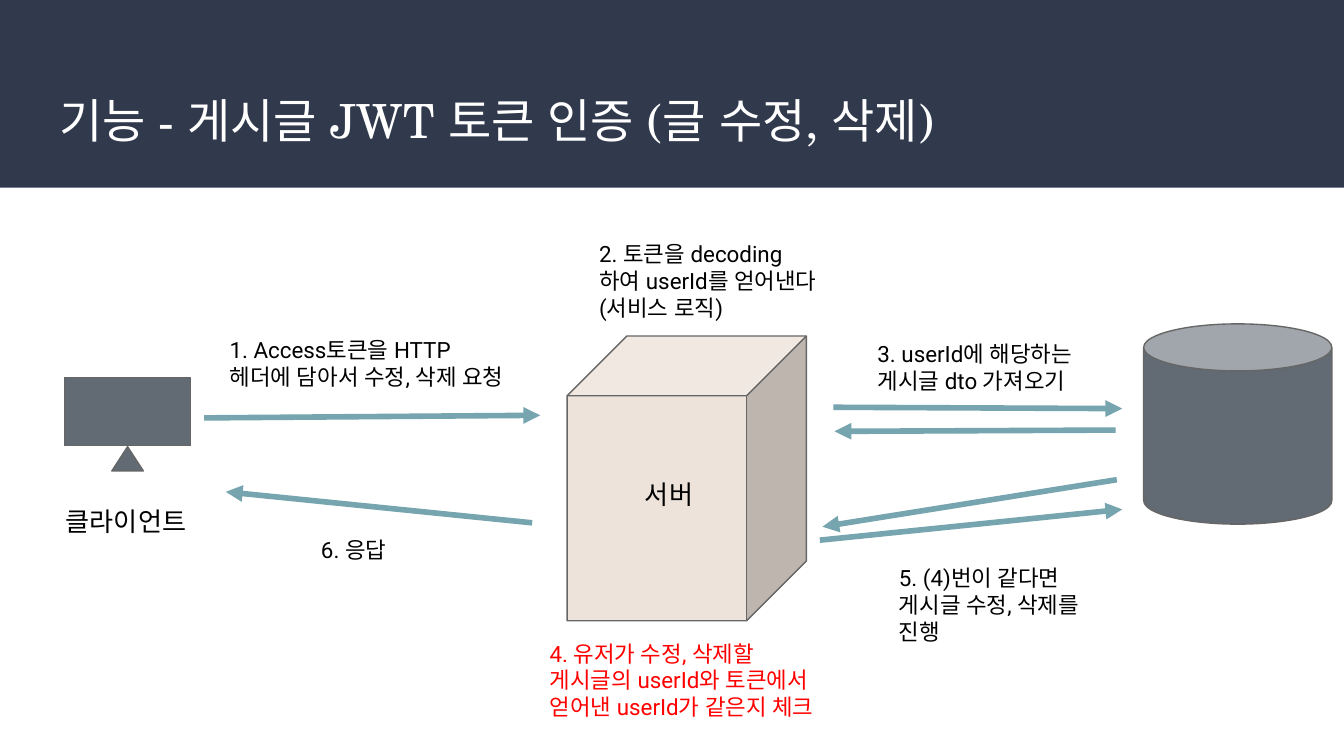
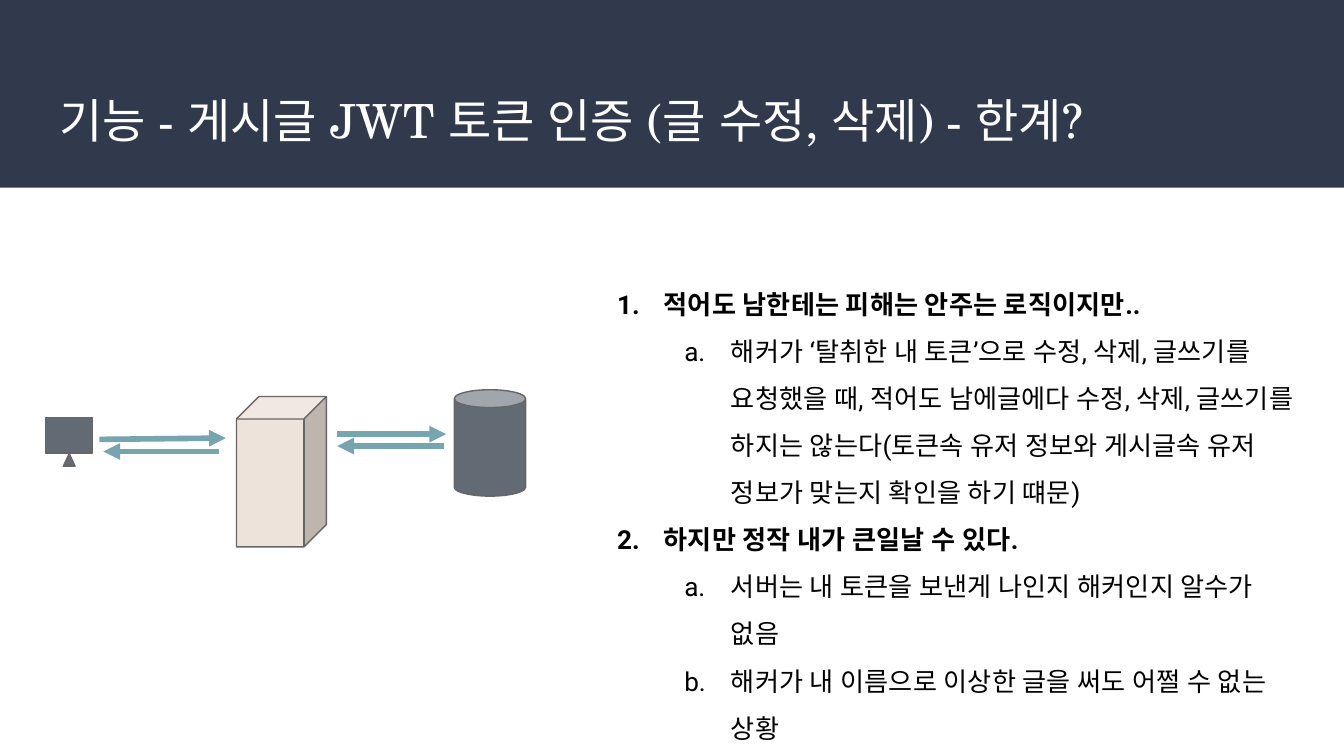
from collections import namedtuple
from dataclasses import dataclass

from lxml.etree import SubElement
from pptx import Presentation
from pptx.dml.color import RGBColor
from pptx.enum.shapes import MSO_CONNECTOR, MSO_SHAPE
from pptx.enum.text import MSO_ANCHOR, MSO_AUTO_SIZE, PP_ALIGN
from pptx.oxml.ns import qn
from pptx.util import Pt

Box = namedtuple("Box", "x y w h")


@dataclass(frozen=True)
class Theme:
    """Colours, fonts and sizes shared by the slides."""
    band: str = "31394D"
    white: str = "FFFFFF"
    black: str = "000000"
    alert: str = "FF0000"
    server: str = "EDE3DA"
    device: str = "626B73"
    outline: str = "666666"
    arrow: str = "76A5AF"
    title_font: str = "TeX Gyre Schola"
    body_font: str = "Roboto"
    title_size: float = 25.2
    label_size: float = 14
    note_size: float = 12
    outline_width: float = 0.75
    arrow_width: float = 3
    inset: float = 7.2


THEME = Theme()
WIDE, HIGH = 720, 405
BAND = Box(0, 0, WIDE, 100.5)
TITLE = Box(24.5, 39.6, 670, 49)
BODY = Box(0, 100, WIDE, 305)
SMALL_FLOW = Box(24.5, 208.8, 257, 84)
LIMITS = Box(312.5, 139, 390.2, 209.5)

HEADING = "기능 - 게시글 JWT 토큰 인증 (글 수정, 삭제)"

FULL_NODES = {
    "client": Box(34.5, 102.3, 67.7, 50),
    "server": Box(303.8, 80, 128.2, 152.6),
    "database": Box(612.7, 73.5, 100.8, 107.3),
}
FULL_ARROWS = [
    (109.4, 123.9, 289.4, 122.5),
    (446.4, 118.2, 601.2, 118.9),
    (597.6, 130.4, 447.1, 131.1),
    (439.2, 189.4, 601.2, 172.9),
    (598.3, 157, 440.6, 182.2),
    (285.1, 180.1, 121, 163.5),
]
SMALL_NODES = {
    "client": Box(0, 15, 25.2, 26),
    "server": Box(102.2, 3.6, 48.2, 80.6),
    "database": Box(218.9, 0, 38.2, 57),
}
SMALL_ARROWS = [
    (28.8, 26.6, 96.5, 25.9),
    (156.2, 23.8, 214.5, 23.8),
    (213.1, 30.2, 156.2, 30.2),
    (92.9, 33.1, 30.9, 33.1),
]
LABELS = [
    (Box(28.1, 163.5, 79.9, 31.7), "클라이언트"),
    (Box(338.4, 149.1, 43.9, 31.7), "서버"),
]
STEPS = [
    (Box(115.9, 72.8, 167, 43.9), THEME.black,
     ["1. Access토큰을 HTTP 헤더에 담아서 수정, 삭제 요청"]),
    (Box(313.9, 21.7, 132.5, 58.3), THEME.black,
     ["2. 토큰을 decoding하여 userId를 얻어낸다", "(서비스 로직)"]),
    (Box(463, 75, 132.5, 43.9), THEME.black,
     ["3. userId에 해당하는 게시글 dto 가져오기"]),
    (Box(287.3, 235.5, 162, 58.3), THEME.alert,
     ["4. 유저가 수정, 삭제할 게시글의 userId와 토큰에서 얻어낸 userId가 같은지 체크"]),
    (Box(474.5, 195.2, 132.5, 43.9), THEME.black,
     ["5. (4)번이 같다면 게시글 수정, 삭제를 진행"]),
    (Box(164.9, 180.1, 59.8, 28.8), THEME.black, ["6. 응답"]),
]
POINTS = [
    (0, "적어도 남한테는 피해는 안주는 로직이지만.."),
    (1, "해커가 ‘탈취한 내 토큰’으로 수정, 삭제, 글쓰기를 요청했을 때, "
        "적어도 남에글에다 수정, 삭제, 글쓰기를 하지는 않는다"
        "(토큰속 유저 정보와 게시글속 유저 정보가 맞는지 확인을 하기 떄문)"),
    (0, "하지만 정작 내가 큰일날 수 있다."),
    (1, "서버는 내 토큰을 보낸게 나인지 해커인지 알수가 없음"),
    (1, "해커가 내 이름으로 이상한 글을 써도 어쩔 수 없는 상황"),
]


def assign(obj, values):
    """Set each named attribute of an object."""
    for name, value in values.items():
        setattr(obj, name, value)


def points(*values):
    """Convert numbers to lengths in points."""
    return [Pt(v) for v in values]


def inside(box, part):
    """Shift a part's box by the corner of its region."""
    return Box(box.x + part.x, box.y + part.y, part.w, part.h)


def add_run(p, text, size, color, font=THEME.body_font, bold=False):
    """Add a formatted run to a paragraph."""
    r = p.add_run()
    r.text = text
    assign(r.font, {"size": Pt(size), "name": font, "bold": bold})
    r.font.color.rgb = RGBColor.from_string(color)
    SubElement(r.font._element, qn("a:ea"), typeface=font)


def format_frame(tf, anchor, auto_size):
    """Give a text frame its insets, wrapping and anchor."""
    sides = ("left", "top", "right", "bottom")
    assign(tf, {f"margin_{side}": Pt(THEME.inset) for side in sides})
    assign(tf, {"word_wrap": True, "vertical_anchor": anchor,
                "auto_size": auto_size})


def add_text(shapes, box):
    """Add a wrapping text box and return its frame."""
    tf = shapes.add_textbox(*points(*box)).text_frame
    format_frame(tf, MSO_ANCHOR.TOP, MSO_AUTO_SIZE.SHAPE_TO_FIT_TEXT)
    return tf


def add_lines(shapes, box, lines, size, color):
    """Write a text box with one paragraph for each line."""
    tf = add_text(shapes, box)
    for i, line in enumerate(lines):
        p = tf.add_paragraph() if i else tf.paragraphs[0]
        add_run(p, line, size, color)


def add_solid(shapes, kind, box, fill, outlined=True):
    """Add a filled preset shape."""
    sp = shapes.add_shape(kind, *points(*box))
    sp.shadow.inherit = False
    sp.fill.solid()
    sp.fill.fore_color.rgb = RGBColor.from_string(fill)
    if outlined:
        sp.line.color.rgb = RGBColor.from_string(THEME.outline)
        sp.line.width = Pt(THEME.outline_width)
    else:
        sp.line.fill.background()
    return sp


def add_arrow(shapes, box, ends):
    """Draw an arrow between two points of a region."""
    x1, y1, x2, y2 = ends
    c = shapes.add_connector(MSO_CONNECTOR.STRAIGHT, *points(
        box.x + x1, box.y + y1, box.x + x2, box.y + y2))
    c.line.color.rgb = RGBColor.from_string(THEME.arrow)
    c.line.width = Pt(THEME.arrow_width)
    SubElement(c.line._get_or_add_ln(), qn("a:tailEnd"), type="triangle")
    SubElement(c.element.spPr, qn("a:effectLst"))


def add_client(shapes, box):
    """Draw a monitor on its stand as one group."""
    x, y, w, h = box
    parts = shapes.add_group_shape().shapes
    add_solid(parts, MSO_SHAPE.FLOWCHART_PROCESS,
              Box(x, y, w, h * 0.73), THEME.device)
    add_solid(parts, MSO_SHAPE.ISOSCELES_TRIANGLE,
              Box(x + w * 0.375, y + h * 0.74, w * 0.25, h * 0.26),
              THEME.device)


def add_flow(shapes, box, nodes, arrows):
    """Draw client, server and database with the arrows between them."""
    add_solid(shapes, MSO_SHAPE.CUBE, inside(box, nodes["server"]),
              THEME.server)
    add_client(shapes, inside(box, nodes["client"]))
    add_solid(shapes, MSO_SHAPE.CAN, inside(box, nodes["database"]),
              THEME.device)
    for ends in arrows:
        add_arrow(shapes, box, ends)


def add_steps(shapes, box):
    """Write the node names and the numbered steps."""
    for part, text in LABELS:
        add_lines(shapes, inside(box, part), [text],
                  THEME.label_size, THEME.black)
    for part, color, lines in STEPS:
        add_lines(shapes, inside(box, part), lines, THEME.note_size, color)


def add_outline(shapes, box):
    """Write the two-level numbered list."""
    tf = add_text(shapes, box)
    for i, (level, text) in enumerate(POINTS):
        p = tf.add_paragraph() if i else tf.paragraphs[0]
        assign(p, {"level": level, "line_spacing": 1.5})
        pPr = p._p.get_or_add_pPr()
        pPr.set("marL", str(Pt(36 * (level + 1))))
        pPr.set("indent", str(Pt(-25)))
        color = SubElement(pPr, qn("a:buClr"))
        SubElement(color, qn("a:srgbClr"), val=THEME.black)
        SubElement(pPr, qn("a:buAutoNum"),
                   type=("arabicPeriod", "alphaLcPeriod")[level])
        add_run(p, text, THEME.label_size, THEME.black, bold=level == 0)


def add_titled_slide(prs, text):
    """Add a slide with the title on its dark band."""
    s = prs.slides.add_slide(prs.slide_layouts[5])
    title = s.shapes.title
    band = add_solid(s.shapes, MSO_SHAPE.RECTANGLE, BAND, THEME.band, False)
    title.element.addprevious(band.element)
    assign(title, dict(zip(("left", "top", "width", "height"),
                           points(*TITLE))))
    format_frame(title.text_frame, MSO_ANCHOR.MIDDLE, MSO_AUTO_SIZE.NONE)
    p = title.text_frame.paragraphs[0]
    p.alignment = PP_ALIGN.LEFT
    add_run(p, text, THEME.title_size, THEME.white, THEME.title_font)
    return s


def build_process(prs):
    """Build the slide that explains token checking step by step."""
    s = add_titled_slide(prs, HEADING)
    add_flow(s.shapes, BODY, FULL_NODES, FULL_ARROWS)
    add_steps(s.shapes, BODY)


def build_limits(prs):
    """Build the slide that lists the limits of the check."""
    s = add_titled_slide(prs, HEADING + " - 한계?")
    group = s.shapes.add_group_shape()
    add_flow(group.shapes, SMALL_FLOW, SMALL_NODES, SMALL_ARROWS)
    add_outline(s.shapes, LIMITS)


def main():
    """Build and save the presentation."""
    prs = Presentation()
    assign(prs, {"slide_width": Pt(WIDE), "slide_height": Pt(HIGH)})
    build_process(prs)
    build_limits(prs)
    prs.save("out.pptx")


if __name__ == "__main__":
    main()
